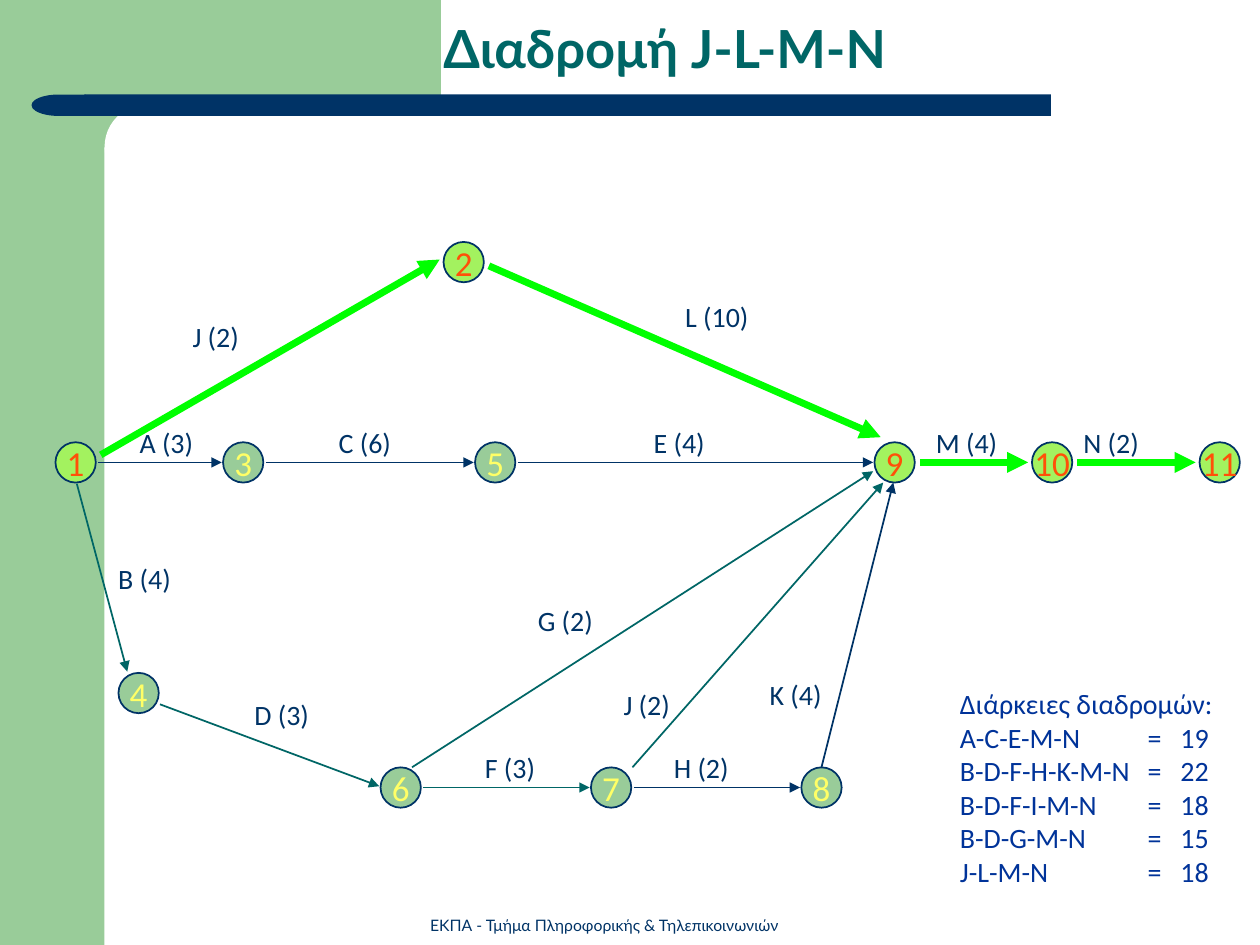
from lxml import etree
from pptx import Presentation
from pptx.dml.color import RGBColor
from pptx.enum.shapes import MSO_CONNECTOR, MSO_SHAPE
from pptx.enum.text import MSO_ANCHOR, PP_ALIGN
from pptx.oxml.ns import qn
from pptx.util import Inches, Pt

NAVY = RGBColor(0x00, 0x33, 0x66)
TEAL = RGBColor(0x00, 0x66, 0x66)
BLUE = RGBColor(0x00, 0x33, 0x99)
SAGE = RGBColor(0x99, 0xCC, 0x99)
LIME = RGBColor(0xA3, 0xF2, 0x5F)
GREEN = RGBColor(0x00, 0xFF, 0x00)
ORANGE = RGBColor(0xFF, 0x50, 0x08)
YELLOW = RGBColor(0xFF, 0xFF, 0x66)
WHITE = RGBColor(0xFF, 0xFF, 0xFF)

RECT, ROUND = MSO_SHAPE.RECTANGLE, MSO_SHAPE.ROUNDED_RECTANGLE
DELAY, OVAL = MSO_SHAPE.FLOWCHART_DELAY, MSO_SHAPE.OVAL
STRAIGHT = MSO_CONNECTOR.STRAIGHT
CENTER, LEFT = PP_ALIGN.CENTER, PP_ALIGN.LEFT
TOP, MIDDLE, BOTTOM = MSO_ANCHOR.TOP, MSO_ANCHOR.MIDDLE, MSO_ANCHOR.BOTTOM

TITLE = "Διαδρομή J-L-M-N"
FOOTER = "ΕΚΠΑ - Τμήμα Πληροφορικής & Τηλεπικοινωνιών"
DURATIONS_HEADING = "Διάρκειες διαδρομών:"
DURATIONS = [("A-C-E-M-N", 19), ("B-D-F-H-K-M-N", 22), ("B-D-F-I-M-N", 18),
             ("B-D-G-M-N", 15), ("J-L-M-N", 18)]
DURATION_TABS = (1.49, 1.75)

# Background: preset, place, fill, corner rounding, rotation
BACKDROP = [
    (RECT, (0, 0, 0.83, 7.5), SAGE, None, 0),
    (RECT, (0.75, 0, 2.75, 1.17), SAGE, None, 0),
    (ROUND, (0.83, 0.83, 5.58, 0.67), WHITE, 0.5, 0),
    (RECT, (0.67, 0.75, 7.67, 0.17), NAVY, None, 0),
    (DELAY, (0.25, 0.75, 0.43, 0.17), NAVY, None, 180),
]

# Events: number -> left and top of its circle
NODE_SIZE = 0.32
MAIN_ROW, LOWER_ROW = 3.51, 6.09
NODES = {1: (0.44, MAIN_ROW), 2: (3.52, 1.92), 3: (1.77, MAIN_ROW),
         4: (0.94, 5.34), 5: (3.77, MAIN_ROW), 6: (3.02, LOWER_ROW),
         7: (4.69, LOWER_ROW), 8: (6.36, LOWER_ROW), 9: (6.94, MAIN_ROW),
         10: (8.19, MAIN_ROW), 11: (9.52, MAIN_ROW)}
ROUTE = {1, 2, 9, 10, 11}

# Activities along a row: label, from event, to event, colour, label place
LABEL_HEIGHT = 0.36
ROW_ACTIVITIES = [
    ("A (3)", 1, 3, NAVY, (1.01, 3.33, 0.66)),
    ("C (6)", 3, 5, NAVY, (2.59, 3.33, 0.66)),
    ("E (4)", 5, 9, NAVY, (5.09, 3.33, 0.64)),
    ("M (4)", 9, 10, GREEN, (7.33, 3.33, 0.72)),
    ("N (2)", 10, 11, GREEN, (8.5, 3.33, 0.68)),
    ("F (3)", 6, 7, TEAL, (3.75, 5.91, 0.63)),
    ("H (2)", 7, 8, NAVY, (5.25, 5.91, 0.68)),
]
# Slanted activities: label, start, end, colour, label place
SLANTED_ACTIVITIES = [
    ("J (2)", (0.8, 3.61), (3.49, 2.06), GREEN, (1.43, 2.49, 0.58)),
    ("L (10)", (3.88, 2.11), (6.99, 3.47), GREEN, (5.34, 2.33, 0.76)),
    ("B (4)", (0.61, 3.84), (1.01, 5.33), TEAL, (0.84, 4.41, 0.66)),
    ("D (3)", (1.27, 5.59), (3.01, 6.24), TEAL, (1.92, 5.49, 0.68)),
    ("G (2)", (3.27, 6.09), (6.93, 3.74), TEAL, (4.17, 4.74, 0.68)),
    ("J (2)", (5.02, 6.09), (7.01, 3.83), TEAL, (4.85, 5.41, 0.58)),
    ("K (4)", (6.52, 6.09), (7.09, 3.83), NAVY, (6.01, 5.33, 0.65)),
]


def add_filled(page, preset, place, fill):
    shape = page.shapes.add_shape(preset, *map(Inches, place))
    shape.shadow.inherit = False
    shape.fill.solid()
    shape.fill.fore_color.rgb = fill
    shape.line.fill.background()
    return shape


def write(box, lines, color, size, name="Calibri", bold=False,
          align=LEFT, anchor=TOP, wrap=False, tabs=()):
    frame = box.text_frame
    frame.word_wrap, frame.vertical_anchor = wrap, anchor
    frame.text = "\n".join(lines)
    for para in frame.paragraphs:
        para.alignment = align
        if tabs:
            stops = etree.SubElement(para._p.get_or_add_pPr(), qn("a:tabLst"))
            for stop in tabs:
                etree.SubElement(stops, qn("a:tab"), pos=str(Inches(stop)), algn="l")
        for span in para.runs:
            for key, value in {"size": Pt(size), "name": name, "bold": bold}.items():
                setattr(span.font, key, value)
            span.font.color.rgb = color


def add_text(page, place, lines, color, size, **options):
    box = page.shapes.add_textbox(*map(Inches, place))
    write(box, lines, color, size, **options)
    return box


def add_arrow(page, start, end, color):
    arrow = page.shapes.add_connector(STRAIGHT, *map(Inches, (*start, *end)))
    arrow.line.color.rgb = color
    arrow.line.width = Pt(4 if color == GREEN else 1)
    etree.SubElement(arrow.line._get_or_add_ln(), qn("a:tailEnd"), type="triangle")
    etree.SubElement(arrow._element.spPr, qn("a:effectLst"))


def add_text_shadow(span):
    effects = etree.Element(qn("a:effectLst"))
    shadow = etree.SubElement(effects, qn("a:outerShdw"), dist="17961", dir="2700000")
    etree.SubElement(shadow, qn("a:srgbClr"), val=str(NAVY))
    span.font._element.find(qn("a:solidFill")).addnext(effects)


def row_ends(first, last, color):
    """Ends of a level arrow, with a wider gap for the thick route arrows."""
    gap_after, gap_before = (0.04, 0.03) if color == GREEN else (0.02, 0.01)
    (left, top), (right, _) = NODES[first], NODES[last]
    middle = top + NODE_SIZE / 2
    return (left + NODE_SIZE + gap_after, middle), (right - gap_before, middle)


def main():
    deck = Presentation()
    deck.slide_width, deck.slide_height = Inches(10), Inches(7.5)
    page = deck.slides.add_slide(deck.slide_layouts[6])

    # Background and footer
    for preset, place, fill, rounding, rotation in BACKDROP:
        shape = add_filled(page, preset, place, fill)
        shape.rotation = rotation
        if rounding is not None:
            shape.adjustments[0] = rounding
    add_text(page, (3.21, 7.22, 3.17, 0.25), [FOOTER], NAVY, 9, name="Lato",
             align=CENTER, anchor=BOTTOM, wrap=True)

    # Event circles
    for number, corner in NODES.items():
        on_route = number in ROUTE
        node = add_filled(page, OVAL, (*corner, NODE_SIZE, NODE_SIZE),
                          LIME if on_route else SAGE)
        node.line.color.rgb = NAVY
        node.line.width = Pt(1)
        write(node, [str(number)], ORANGE if on_route else YELLOW, 20,
              align=CENTER, anchor=MIDDLE)

    # Activity arrows and labels
    level = [(label, *row_ends(first, last, color), color, place)
             for label, first, last, color, place in ROW_ACTIVITIES]
    for label, start, end, color, place in level + SLANTED_ACTIVITIES:
        add_arrow(page, start, end, color)
        add_text(page, (*place, LABEL_HEIGHT), [label], NAVY, 16)

    # Title and route durations
    title = add_text(page, (3.42, 0, 6.08, 0.75), [TITLE], TEAL, 30, name="Lato",
                     bold=True, anchor=MIDDLE, wrap=True)
    add_text_shadow(title.text_frame.paragraphs[0].runs[0])
    rows = [f"{route}\t=\t{days}" for route, days in DURATIONS]
    add_text(page, (7.52, 5.4, 2.49, 1.7), [DURATIONS_HEADING, *rows], BLUE, 16,
             wrap=True, tabs=DURATION_TABS)

    deck.save("out.pptx")


if __name__ == "__main__":
    main()
